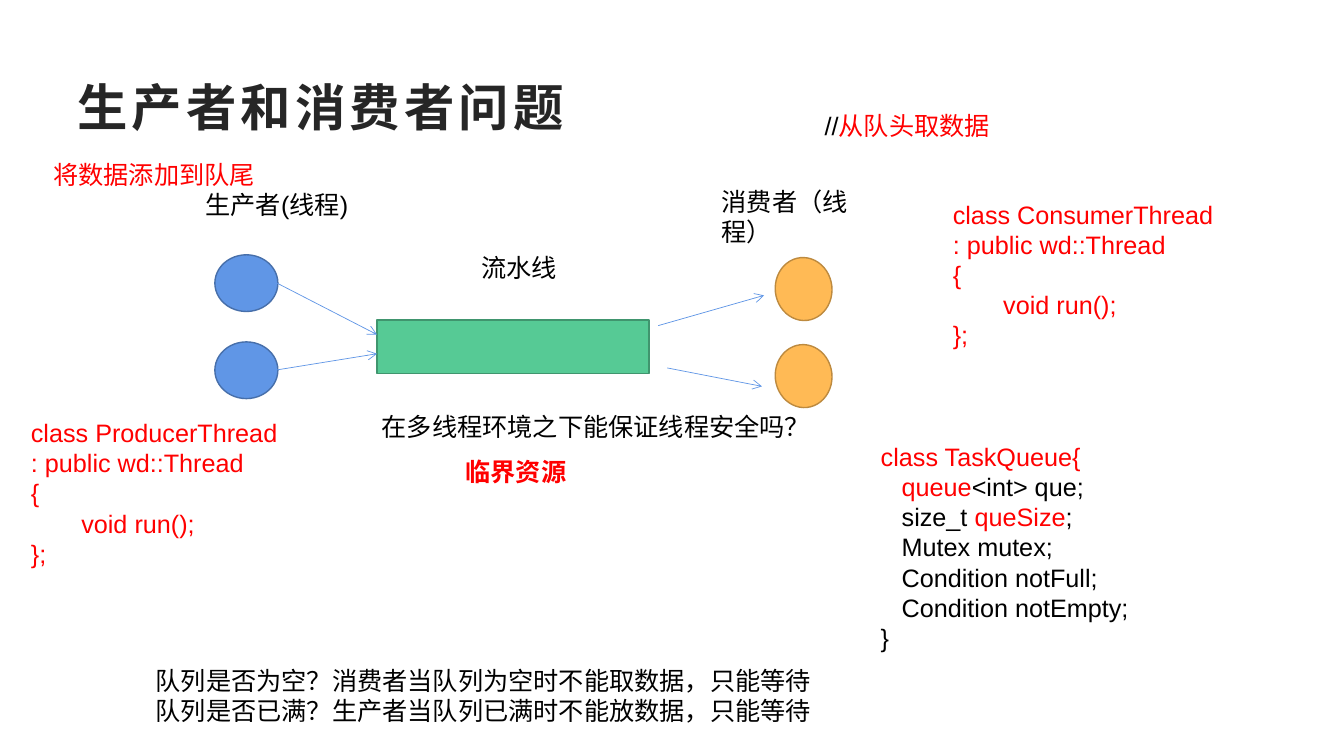
from dataclasses import dataclass

from lxml import etree
from pptx import Presentation
from pptx.dml.color import RGBColor
from pptx.enum.shapes import MSO_CONNECTOR, MSO_SHAPE
from pptx.enum.text import MSO_ANCHOR, MSO_AUTO_SIZE, PP_ALIGN
from pptx.oxml.ns import qn
from pptx.util import Pt

OVAL, RECT = MSO_SHAPE.OVAL, MSO_SHAPE.RECTANGLE
STRAIGHT = MSO_CONNECTOR.STRAIGHT
MIDDLE, TOP = MSO_ANCHOR.MIDDLE, MSO_ANCHOR.TOP
LEFT, NO_FIT = PP_ALIGN.LEFT, MSO_AUTO_SIZE.NONE


@dataclass(frozen=True)
class Theme:
    font: str = "Arial"
    head: int = 36
    body: int = 18
    dark: str = "262626"
    black: str = "000000"
    red: str = "FF0000"
    blue: tuple = ("6096E6", "476FAA")
    gold: tuple = ("FFBA55", "BD8A3F")
    green: tuple = ("56CA95", "40956E")


T = Theme()
SIZE = (960, 540)
TITLE = "生产者和消费者问题"
TITLE_BOX = (48, 48, 864, 55.5)

NOTES = [
    ((139.7, 131.8, 209.5, 29), ["生产者(线程)"], T.black, False),
    ((508.5, 129.5, 139, 29), ["消费者（线程）"], T.black, False),
    ((336.5, 176.5, 98.5, 29), ["流水线"], T.black, False),
    ((265.5, 290.5, 317, 29), ["在多线程环境之下能保证线程安全吗？"], T.black, False),
    ((104.2, 471.5, 489.5, 51),
     ["队列是否为空？消费者当队列为空时不能取数据，只能等待",
      "队列是否已满？生产者当队列已满时不能放数据，只能等待"], T.black, False),
    ((325.5, 322.5, 124, 29), ["临界资源"], T.red, True),
    ((582, 75.5, 197, 51), [[("//", T.black), ("从队头取数据", T.red)]], T.black, False),
    ((31, 110, 222, 29), ["将数据添加到队尾"], T.red, False),
]

THREADS = [("ProducerThread", (15, 294.5, 212.5, 116)),
           ("ConsumerThread", (673.5, 138.5, 212.5, 116))]
INDENT = 36

QUEUE_BOX = (622, 311.5, 314.5, 160)
QUEUE = [
    [("class TaskQueue{\n   queue", T.red), ("<int> que;", T.black)],
    [("   size_t ", T.black), ("queSize", T.red), (";", T.black)],
    "   Mutex mutex;",
    "   Condition notFull;",
    "   Condition notEmpty;",
    "}",
]

DOT = (45, 40.5)
DOT_GAP = 62.2
GROUPS = [(153.5, 182, 0, T.blue), (551.5, 186.2, 84, T.gold)]
BELT = (269.3, 228.5, 194.4, 38.2)
ARROWS = [
    (198, 202.3, 269.3, 239),
    (198, 264.2, 269.3, 252.7),
    (470.2, 232.6, 545.8, 211),
    (476.6, 262.8, 544.3, 276),
]


def color(code):
    return RGBColor.from_string(code)


def style(font, size, code, bold):
    font.name, font.size, font.bold = T.font, Pt(size), bold
    font.color.rgb = color(code)


def add_text(slide, box, lines, code=T.black, bold=False):
    frame = slide.shapes.add_textbox(*map(Pt, box)).text_frame
    frame.word_wrap = True
    frame.vertical_anchor = TOP
    for i, line in enumerate(lines):
        para = frame.add_paragraph() if i else frame.paragraphs[0]
        parts = [(line, code)] if isinstance(line, str) else line
        for text, tint in parts:
            for j, piece in enumerate(text.split("\n")):
                if j:
                    para.add_line_break()
                run = para.add_run()
                run.text = piece
                style(run.font, T.body, tint, bold)
    return frame


def add_shape(slide, kind, box, pair, turn=0):
    shape = slide.shapes.add_shape(kind, *map(Pt, box))
    shape.shadow.inherit = False
    shape.rotation = turn
    shape.fill.solid()
    shape.fill.fore_color.rgb = color(pair[0])
    shape.line.color.rgb = color(pair[1])
    shape.line.width = Pt(1)


def add_arrow(slide, ends):
    link = slide.shapes.add_connector(STRAIGHT, *map(Pt, ends))
    link.line.color.rgb = color(T.blue[0])
    link.line.width = Pt(0.5)
    etree.SubElement(link.line._get_or_add_ln(), qn("a:tailEnd"), type="arrow")
    etree.SubElement(link._element.spPr, qn("a:effectLst"))


def add_title(slide):
    title = slide.shapes.title
    title.left, title.top, title.width, title.height = map(Pt, TITLE_BOX)
    frame = title.text_frame
    frame.text = TITLE
    frame.auto_size = NO_FIT
    frame.vertical_anchor = MIDDLE
    para = frame.paragraphs[0]
    para.alignment = LEFT
    run = para.runs[0]
    style(run.font, T.head, T.dark, True)
    run.font._element.set("spc", "300")


def main():
    deck = Presentation()
    deck.slide_width, deck.slide_height = map(Pt, SIZE)
    slide = deck.slides.add_slide(deck.slide_layouts[5])
    add_title(slide)
    for left, top, turn, pair in GROUPS:
        for row in range(2):
            add_shape(slide, OVAL, (left, top + row * DOT_GAP, *DOT), pair, turn)
    add_shape(slide, RECT, BELT, T.green)
    for ends in ARROWS:
        add_arrow(slide, ends)
    for note in NOTES:
        add_text(slide, *note)
    for name, box in THREADS:
        lines = [f"class {name}\n: public wd::Thread", "{", "void run();", "};"]
        frame = add_text(slide, box, lines, T.red)
        frame.paragraphs[2]._p.get_or_add_pPr().set("indent", str(Pt(INDENT)))
    add_text(slide, QUEUE_BOX, QUEUE)
    deck.save("out.pptx")


if __name__ == "__main__":
    main()
